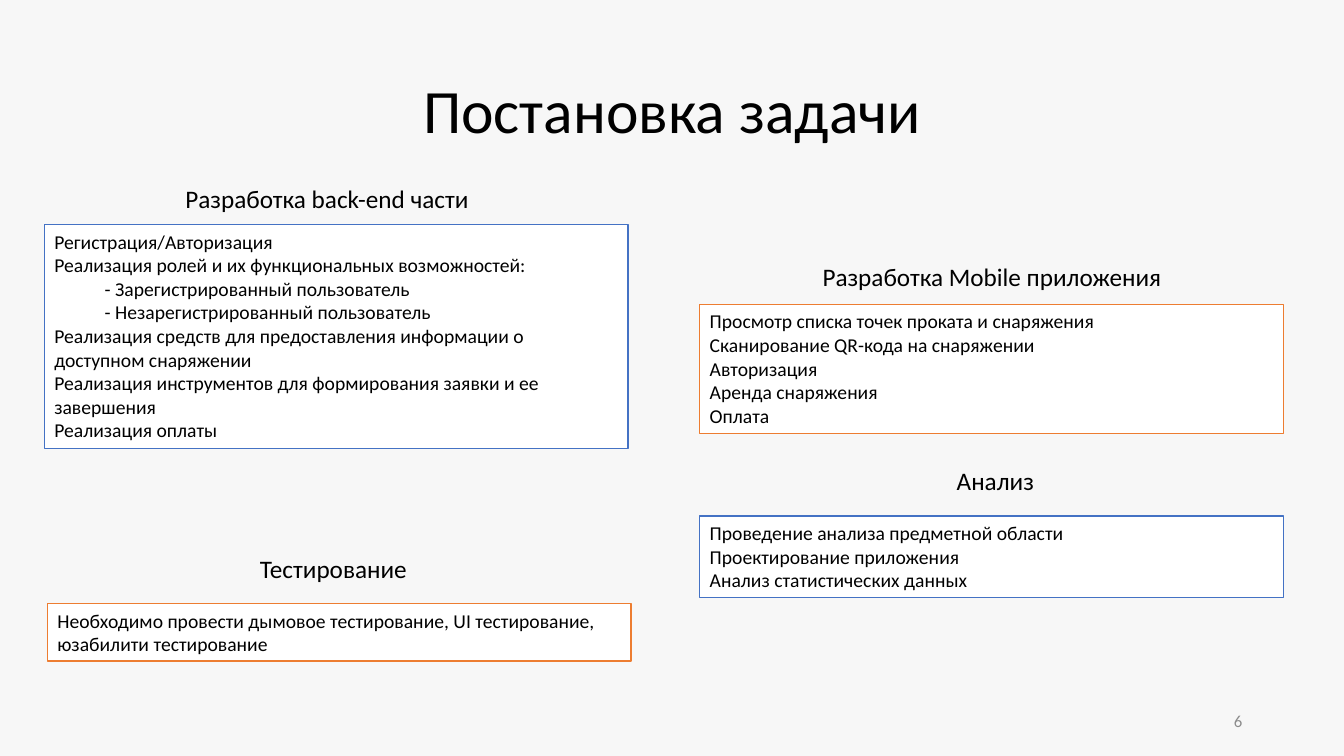
import pptx
import pptx.dml.color
import pptx.enum.shapes
import pptx.enum.text
import pptx.util

Inches = pptx.util.Inches
ALIGN = pptx.enum.text.PP_ALIGN
ANCHOR = pptx.enum.text.MSO_ANCHOR
FIT = pptx.enum.text.MSO_AUTO_SIZE

THEME = {
    "font": "Calibri",
    "back": "F7F7F7", "card": "FFFFFF", "ink": "000000", "gray": "8C8C8C",
    "blue": "4472C4", "orange": "ED7D31",
    "title": 44, "head": 18, "body": 14, "number": 12,
}

TITLE = "Постановка задачи"
NUMBER = "6"
CARD_W, HEAD_H = 5.79, 0.4

# heading, its left, top and width; card left, top, height and line; card lines
TASKS = [
    ("Разработка back-end части", (1.74, 1.77, 3.2), (0.44, 2.23, 2.22), "blue", [
        "Регистрация/Авторизация",
        "Реализация ролей и их функциональных возможностей:",
        "\t- Зарегистрированный пользователь",
        "\t- Незарегистрированный пользователь",
        "Реализация средств для предоставления информации о доступном снаряжении",
        "Реализация инструментов для формирования заявки и ее завершения",
        "Реализация оплаты",
    ]),
    ("Разработка Mobile приложения", (8.06, 2.54, 4.5), (6.94, 3.02, 1.28), "orange", [
        "Просмотр списка точек проката и снаряжения",
        "Сканирование QR-кода на снаряжении",
        "Авторизация",
        "Аренда снаряжения",
        "Оплата",
    ]),
    ("Анализ", (9.39, 4.57, 2.75), (6.94, 5.12, 0.81), "blue", [
        "Проведение анализа предметной области",
        "Проектирование приложения",
        "Анализ статистических данных",
    ]),
    ("Тестирование", (2.48, 5.44, 2.75), (0.47, 5.99, 0.57), "orange", [
        "Необходимо провести дымовое тестирование, UI тестирование, "
        "юзабилити тестирование",
    ]),
]


def color(name):
    return pptx.dml.color.RGBColor.from_string(THEME[name])


def write(shape, lines, size, ink="ink", align=ALIGN.LEFT,
          anchor=ANCHOR.TOP, fit=FIT.SHAPE_TO_FIT_TEXT, spacing=None):
    frame = shape.text_frame
    frame.word_wrap = True
    frame.auto_size = fit
    frame.vertical_anchor = anchor
    for i, line in enumerate(lines):
        para = frame.add_paragraph() if i else frame.paragraphs[0]
        para.alignment = align
        para.line_spacing = spacing
        run = para.add_run()
        run.text = line
        run.font.name = THEME["font"]
        run.font.size = pptx.util.Pt(THEME[size])
        run.font.color.rgb = color(ink)


def add_label(slide, box, text, size, **form):
    write(slide.shapes.add_textbox(*map(Inches, box)), [text], size, **form)


def add_card(slide, box, lines, edge):
    card = slide.shapes.add_shape(
        pptx.enum.shapes.MSO_SHAPE.RECTANGLE, *map(Inches, box))
    card.shadow.inherit = False
    card.fill.solid()
    card.fill.fore_color.rgb = color("card")
    card.line.color.rgb = color(edge)
    card.line.width = pptx.util.Pt(1)
    write(card, lines, "body")


def main():
    deck = pptx.Presentation()
    deck.slide_width, deck.slide_height = Inches(13.33), Inches(7.5)
    slide = deck.slides.add_slide(deck.slide_layouts[6])
    slide.background.fill.solid()
    slide.background.fill.fore_color.rgb = color("back")

    add_label(slide, (0.92, 0.4, 11.5, 1.45), TITLE, "title", align=ALIGN.CENTER,
              anchor=ANCHOR.MIDDLE, fit=FIT.NONE, spacing=0.9)
    for head, (x, y, width), (left, top, height), edge, lines in TASKS:
        add_card(slide, (left, top, CARD_W, height), lines, edge)
        add_label(slide, (x, y, width, HEAD_H), head, "head")
    add_label(slide, (9.42, 6.95, 3, 0.4), NUMBER, "number", ink="gray",
              align=ALIGN.RIGHT, anchor=ANCHOR.MIDDLE, fit=FIT.NONE)
    deck.save("out.pptx")


if __name__ == "__main__":
    main()
